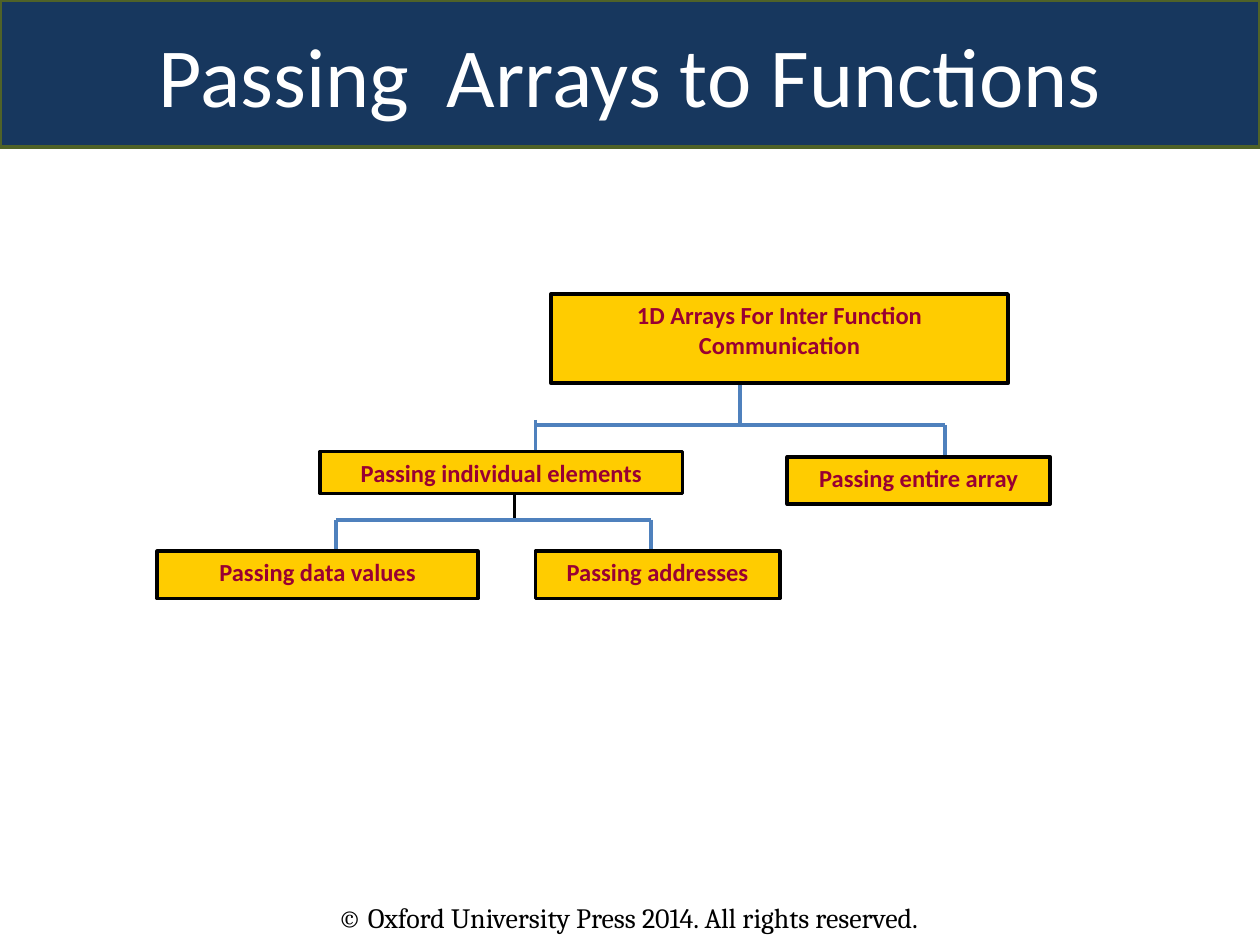
from lxml.etree import SubElement
from pptx import Presentation
from pptx.dml.color import RGBColor
from pptx.enum.shapes import MSO_CONNECTOR, MSO_SHAPE
from pptx.enum.text import MSO_ANCHOR, MSO_AUTO_SIZE, PP_ALIGN
from pptx.oxml.ns import qn
from pptx.util import Inches, Pt

NAVY = RGBColor(0x17, 0x37, 0x5E)
OLIVE = RGBColor(0x4F, 0x62, 0x28)
GOLD = RGBColor(0xFF, 0xCC, 0x00)
WINE = RGBColor(0x99, 0x00, 0x33)
BLUE = RGBColor(0x4F, 0x81, 0xBD)
BLACK = RGBColor(0, 0, 0)
WHITE = RGBColor(0xFF, 0xFF, 0xFF)
CELL = Inches(1) // 24

NODES = [
    ("1D Arrays For Inter Function Communication", 75, 0, 87, 17),
    ("Passing individual elements", 31, 30, 69, 8),
    ("Passing entire array", 120, 31, 50, 9),
    ("Passing data values", 0, 49, 61, 9),
    ("Passing addresses", 72, 49, 46.5, 9),
]
FORKS = [
    (111, 17, 25, BLUE, [(72, 24, 30), (150, 25, 31)]),
    (68, 37, 43, BLACK, [(34, 43, 49), (94, 43, 49)]),
]


def style(para, size, face, color, bold=False):
    """Set the font of a paragraph's runs."""
    for run in para.runs:
        font = run.font
        font.size, font.name, font.bold = Pt(size), face, bold
        font.color.rgb = color


def paint(shape, fill, edge, width):
    """Give a shape a solid fill and an outline."""
    shape.fill.solid()
    shape.fill.fore_color.rgb = fill
    shape.line.color.rgb = edge
    shape.line.width = Pt(width)


def add_title(slide, box, text):
    """Turn the title placeholder into a banner."""
    title = slide.shapes.title
    title.left, title.top, title.width, title.height = box
    paint(title, NAVY, OLIVE, 2)
    frame = title.text_frame
    frame.text = text
    frame.auto_size = MSO_AUTO_SIZE.NONE
    frame.vertical_anchor = MSO_ANCHOR.MIDDLE
    para = frame.paragraphs[0]
    para.alignment = PP_ALIGN.CENTER
    style(para, 48, "Calibri", WHITE)


def add_foot(slide, box, text):
    """Add the rights line."""
    frame = slide.shapes.add_textbox(*box).text_frame
    frame.word_wrap = True
    frame.text = text
    style(frame.paragraphs[0], 16, "Cambria", BLACK)


def add_node(group, box, text):
    """Add one labelled box of the tree."""
    node = group.shapes.add_shape(MSO_SHAPE.RECTANGLE, *box)
    node.shadow.inherit = False
    paint(node, GOLD, BLACK, 2.25)
    frame = node.text_frame
    frame.word_wrap = True
    frame.text = text
    frame.vertical_anchor = MSO_ANCHOR.TOP
    para = frame.paragraphs[0]
    para.alignment = PP_ALIGN.CENTER
    para.space_after = Pt(5)
    style(para, 14, "Calibri", WINE, True)


def add_line(group, ends, color):
    """Add one straight branch line."""
    line = group.shapes.add_connector(MSO_CONNECTOR.STRAIGHT, *ends)
    line.line.color.rgb = color
    line.line.width = Pt(2.25)
    SubElement(line._element.spPr, qn("a:effectLst"))


def add_tree(slide, left, top):
    """Draw the tree on a grid from the given corner."""
    group = slide.shapes.add_group_shape()

    def spot(x, y):
        return left + int(x * CELL), top + int(y * CELL)

    def link(x1, y1, x2, y2, color):
        add_line(group, (*spot(x1, y1), *spot(x2, y2)), color)

    for stem, start, bar, color, drops in FORKS:
        link(stem, start, stem, bar, color)
        link(drops[0][0], bar, drops[-1][0], bar, BLUE)
        for x, high, low in drops:
            link(x, high, x, low, BLUE)
    for text, x, y, wide, tall in NODES:
        add_node(group, (*spot(x, y), int(wide * CELL), tall * CELL), text)


def main():
    """Build and save the slide."""
    deck = Presentation()
    deck.slide_width, deck.slide_height = Inches(10), Inches(7.5)
    wide = deck.slide_width
    slide = deck.slides.add_slide(deck.slide_layouts[5])
    add_title(slide, (0, 0, wide, 28 * CELL), "Passing  Arrays to Functions")
    add_tree(slide, 30 * CELL, 56 * CELL)
    add_foot(slide, (62 * CELL, Inches(7.1), 142 * CELL, 9 * CELL),
             "© Oxford University Press 2014. All rights reserved.")
    deck.save("out.pptx")


if __name__ == "__main__":
    main()
